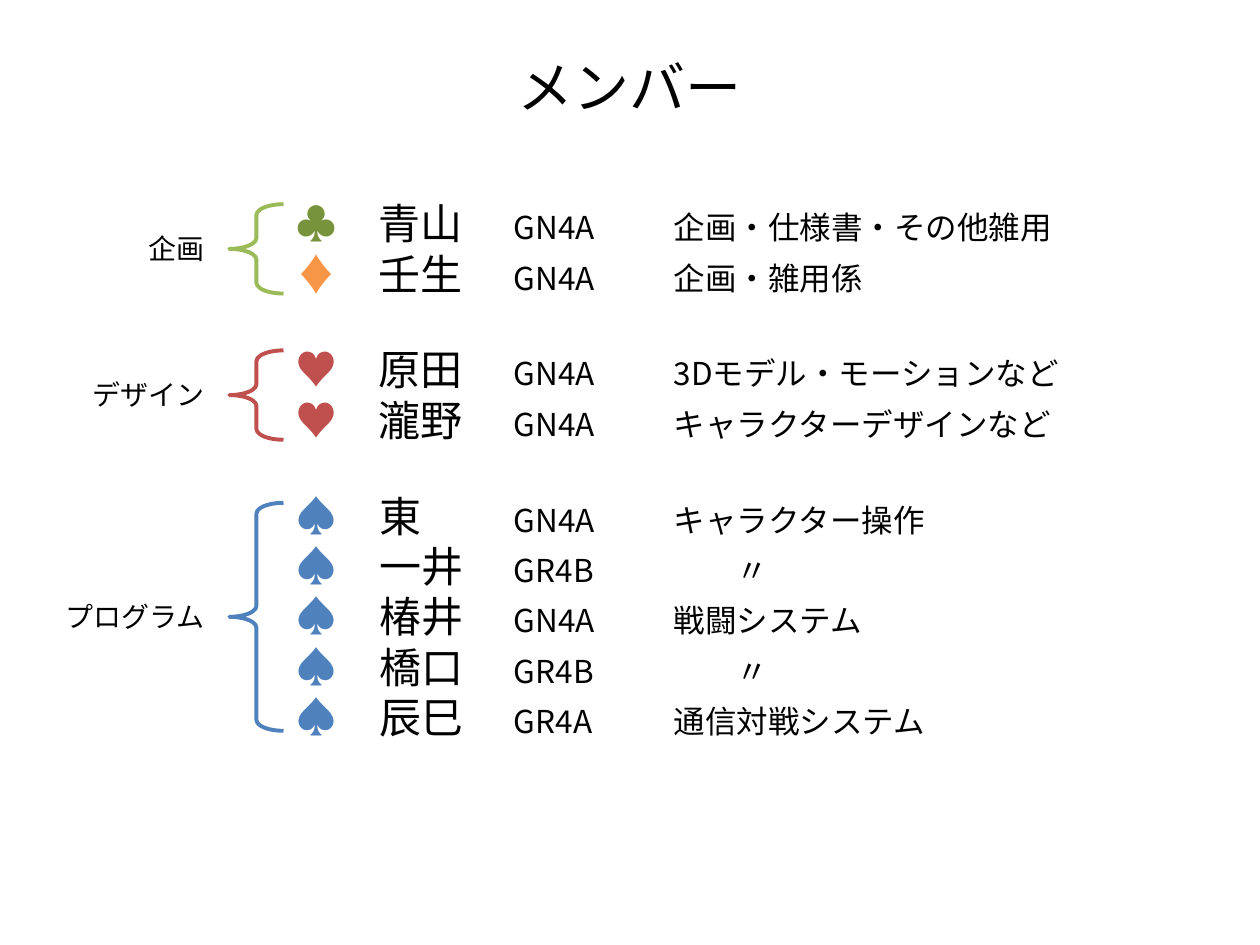
"""Build the team member slide, with a brace and a roster for each group."""
from dataclasses import dataclass

from lxml import etree
from pptx import Presentation
from pptx.dml.color import RGBColor
from pptx.enum.shapes import MSO_SHAPE
from pptx.enum.text import MSO_ANCHOR, PP_ALIGN
from pptx.oxml.ns import qn
from pptx.util import Inches, Pt

BRACE = MSO_SHAPE.RIGHT_BRACE
LEFT, CENTER, RIGHT = PP_ALIGN.LEFT, PP_ALIGN.CENTER, PP_ALIGN.RIGHT
TOP, MIDDLE = MSO_ANCHOR.TOP, MSO_ANCHOR.MIDDLE


@dataclass(frozen=True)
class Theme:
    latin: str = "Calibri"
    cjk: str = "Noto Sans CJK JP"
    black: str = "000000"
    club: str = "77933C"
    diamond: str = "F79646"
    heart: str = "C0504D"
    spade: str = "4F81BD"
    green: str = "9BBB59"
    title: int = 32
    name: int = 24
    detail: int = 18
    label: int = 16
    line: float = 2.25


THEME = Theme()
SUITS = {"♣": THEME.club, "♦": THEME.diamond,
         "♥": THEME.heart, "♠": THEME.spade}
TAB_STOPS = (0.66, 1.73, 3, 3.5)
ROSTER_LEFT, ROW_HEIGHT = 2.25, 0.4
BRACE_LEFT, BRACE_WIDTH = 1.82, 0.43
LABEL_RIGHT, LABEL_HEIGHT = 1.72, 0.37

# label, line colour, roster top, roster width, brace top, brace height, members
GROUPS = [
    ("企画", THEME.green, 1.52, 6.26, 1.62, 0.71, [
        ("♣", "青山", "GN4A", "企画・仕様書・その他雑用"),
        ("♦", "壬生", "GN4A", "企画・雑用係")]),
    ("デザイン", THEME.heart, 2.68, 7.27, 2.78, 0.71, [
        ("♥", "原田", "GN4A", "3Dモデル・モーションなど"),
        ("♥", "瀧野", "GN4A", "キャラクターデザインなど")]),
    ("プログラム", THEME.spade, 3.84, 5.25, 3.99, 1.81, [
        ("♠", "東", "GN4A", "キャラクター操作"),
        ("♠", "一井", "GR4B", "\t〃"),
        ("♠", "椿井", "GN4A", "戦闘システム"),
        ("♠", "橋口", "GR4B", "\t〃"),
        ("♠", "辰巳", "GR4A", "通信対戦システム")]),
]


def add_run(p, text, size, color=THEME.black, font=THEME.cjk):
    """Add a run with its Latin and East Asian fonts."""
    r = p.add_run()
    r.text = text
    for key, value in {"size": Pt(size), "name": font}.items():
        setattr(r.font, key, value)
    r.font.color.rgb = RGBColor.from_string(color)
    ea = etree.SubElement(r.font._element, qn("a:ea"))
    ea.set("typeface", THEME.cjk)


def add_text_box(slide, box, align=LEFT, anchor=TOP, wrap=True):
    """Add a text box and return its text frame."""
    tf = slide.shapes.add_textbox(*map(Inches, box)).text_frame
    for key, value in {"word_wrap": wrap, "vertical_anchor": anchor}.items():
        setattr(tf, key, value)
    tf.paragraphs[0].alignment = align
    return tf


def set_tab_stops(p):
    """Set the roster columns as tab stops of a paragraph."""
    tabs = etree.SubElement(p._p.get_or_add_pPr(), qn("a:tabLst"))
    for stop in TAB_STOPS:
        tab = etree.SubElement(tabs, qn("a:tab"))
        tab.set("pos", str(Inches(stop)))
        tab.set("algn", "l")


def add_roster(slide, top, width, members):
    """Add one line of suit, name, class and role for each member."""
    height = len(members) * ROW_HEIGHT + 0.11
    tf = add_text_box(slide, (ROSTER_LEFT, top, width, height))
    for i, (suit, name, school_class, role) in enumerate(members):
        p = tf.add_paragraph() if i else tf.paragraphs[0]
        set_tab_stops(p)
        add_run(p, f"{suit}\t", THEME.name, SUITS[suit])
        add_run(p, f"{name}\t", THEME.name)
        add_run(p, f"{school_class}\t{role}", THEME.detail)


def add_brace(slide, top, height, color):
    """Add a brace that opens towards the roster."""
    sp = slide.shapes.add_shape(
        BRACE, *map(Inches, (BRACE_LEFT, top, BRACE_WIDTH, height)))
    sp.rotation = 180
    sp.adjustments[0] = 0.2
    sp.shadow.inherit = False
    sp.fill.background()
    sp.line.color.rgb = RGBColor.from_string(color)
    sp.line.width = Pt(THEME.line)


def add_label(slide, text, middle):
    """Add a group label that ends beside the tip of its brace."""
    width = 0.2 + len(text) * THEME.label / 72
    box = (LABEL_RIGHT - width, middle - LABEL_HEIGHT / 2, width, LABEL_HEIGHT)
    tf = add_text_box(slide, box, RIGHT, wrap=False)
    add_run(tf.paragraphs[0], text, THEME.label)


def add_title(slide, text):
    """Add the centred slide title."""
    tf = add_text_box(slide, (0.5, 0.3, 9, 0.77), CENTER, MIDDLE)
    add_run(tf.paragraphs[0], text, THEME.title, font=THEME.latin)


def main():
    """Build and save the slide."""
    prs = Presentation()
    prs.slide_width, prs.slide_height = Inches(10), Inches(7.5)
    slide = prs.slides.add_slide(prs.slide_layouts[6])
    add_title(slide, "メンバー")
    for label, color, top, width, brace_top, brace_height, members in GROUPS:
        add_roster(slide, top, width, members)
        add_brace(slide, brace_top, brace_height, color)
        add_label(slide, label, brace_top + brace_height / 2)
    prs.save("out.pptx")


if __name__ == "__main__":
    main()
